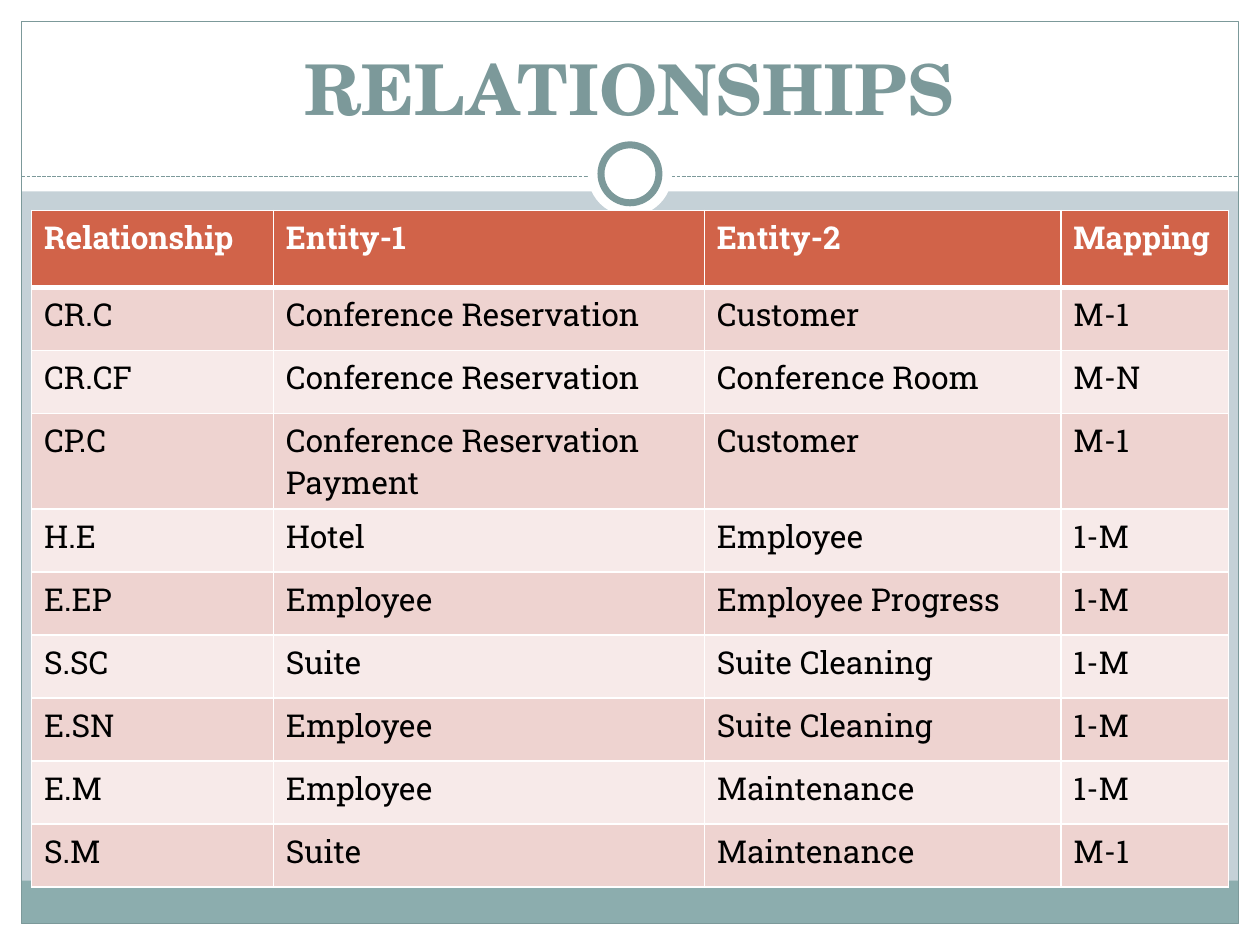
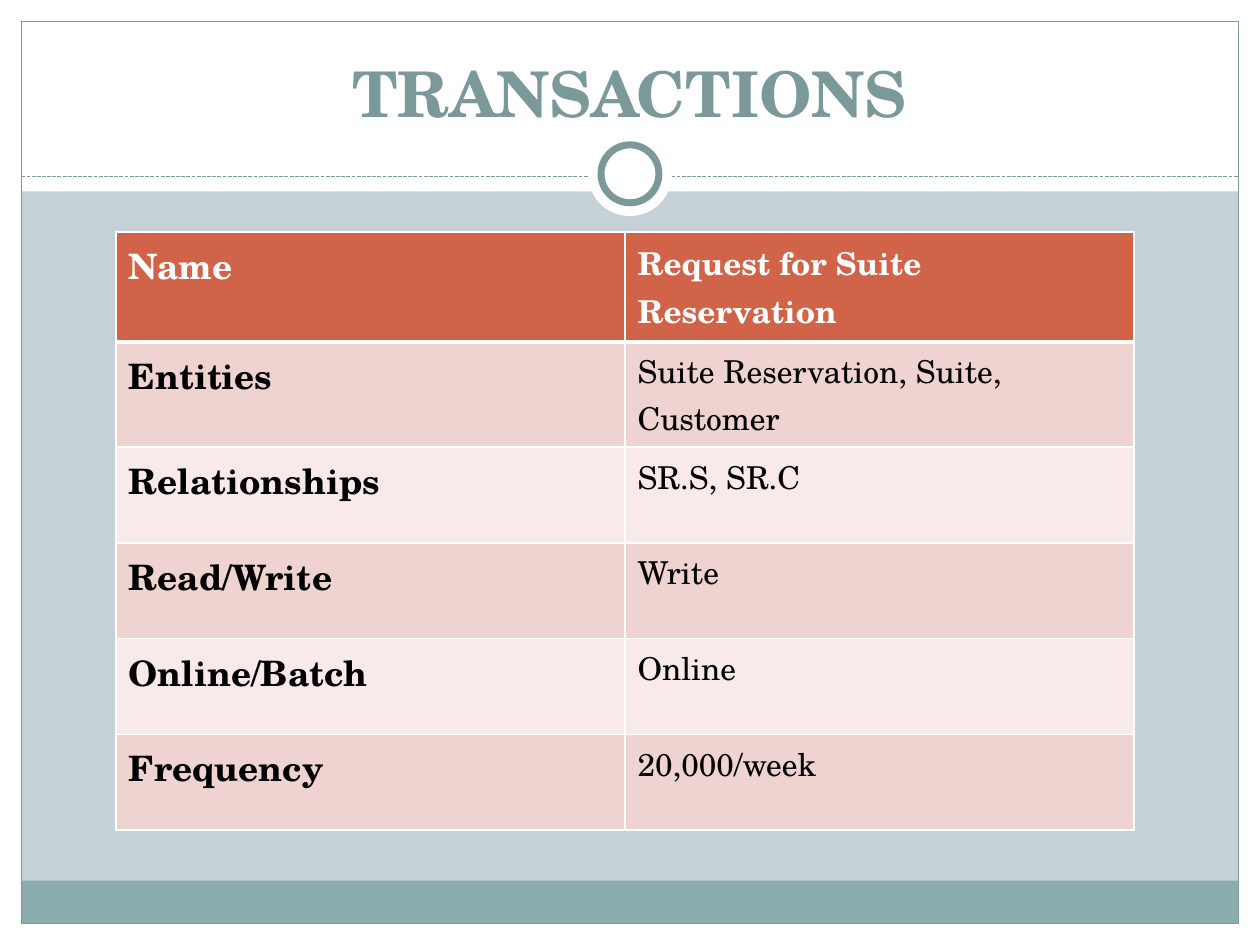
from lxml.etree import SubElement
from pptx import Presentation
from pptx.dml.color import RGBColor
from pptx.enum.dml import MSO_LINE_DASH_STYLE as Dash
from pptx.enum.shapes import MSO_CONNECTOR as Connector, MSO_SHAPE as Shape
from pptx.enum.text import MSO_ANCHOR as Anchor, MSO_AUTO_SIZE as AutoSize, PP_ALIGN as Align
from pptx.oxml.ns import qn
from pptx.util import Inches, Pt

WHITE = RGBColor(0xFF, 0xFF, 0xFF)
BLACK = RGBColor(0, 0, 0)
PALE_BLUE = RGBColor(0xC5, 0xD1, 0xD7)
TEAL = RGBColor(0x7C, 0x99, 0x9A)
FOOTER_TEAL = RGBColor(0x8C, 0xAD, 0xAE)
RUST = RGBColor(0xD1, 0x63, 0x49)
PINK = RGBColor(0xEE, 0xD3, 0xD0)
PALE_PINK = RGBColor(0xF7, 0xEA, 0xE9)
SERIF = "TeX Gyre Schola"
SLAB = "Roboto Slab"
WIDTH, HEIGHT, EDGE = 10, 7.5, 0.17
RULE_TOP = 1.4

RELATIONSHIPS = [
    ("Relationship", "Entity-1", "Entity-2", "Mapping"),
    ("CR.C", "Conference Reservation", "Customer", "M-1"),
    ("CR.CF", "Conference Reservation", "Conference Room", "M-N"),
    ("CP.C", "Conference Reservation Payment", "Customer", "M-1"),
    ("H.E", "Hotel", "Employee", "1-M"),
    ("E.EP", "Employee", "Employee Progress", "1-M"),
    ("S.SC", "Suite", "Suite Cleaning", "1-M"),
    ("E.SN", "Employee", "Suite Cleaning", "1-M"),
    ("E.M", "Employee", "Maintenance", "1-M"),
    ("S.M", "Suite", "Maintenance", "M-1"),
]
TRANSACTION = [
    ("Name", "Request for Suite Reservation"),
    ("Entities", "Suite Reservation, Suite, Customer"),
    ("Relationships", "SR.S, SR.C"),
    ("Read/Write", "Write"),
    ("Online/Batch", "Online"),
    ("Frequency", "20,000/week"),
]


def add_plain_shape(page, kind, left, top, width, height, fill=None, line_width=None):
    """Add a shape with an optional fill and an optional teal outline."""
    shape = page.shapes.add_shape(
        kind, Inches(left), Inches(top), Inches(width), Inches(height))
    shape.shadow.inherit = False
    if fill is None:
        shape.fill.background()
    else:
        shape.fill.solid()
        shape.fill.fore_color.rgb = fill
    if line_width is None:
        shape.line.fill.background()
    else:
        shape.line.color.rgb = TEAL
        shape.line.width = Pt(line_width)


def add_dashed_rule(page):
    """Add the dashed line below the title."""
    rule = page.shapes.add_connector(
        Connector.STRAIGHT, Inches(EDGE), Inches(RULE_TOP),
        Inches(WIDTH - EDGE), Inches(RULE_TOP))
    rule.line.color.rgb = TEAL
    rule.line.width = Pt(0.75)
    rule.line.dash_style = Dash.SQUARE_DOT
    SubElement(rule.element.spPr, qn("a:effectLst"))


def add_frame(page):
    """Draw the background, margins, footer band, outline and title ornament."""
    page.background.fill.solid()
    page.background.fill.fore_color.rgb = PALE_BLUE
    margins = [
        (0, HEIGHT - EDGE, WIDTH, EDGE),
        (0, 0, WIDTH, 1.52),
        (0, 0, EDGE, HEIGHT),
        (WIDTH - EDGE, 0, EDGE, HEIGHT),
    ]
    for margin in margins:
        add_plain_shape(page, Shape.RECTANGLE, *margin, fill=WHITE)
    inner_width = WIDTH - 2 * EDGE
    add_plain_shape(page, Shape.RECTANGLE, EDGE, 6.99, inner_width, 0.34, fill=FOOTER_TEAL)
    add_plain_shape(page, Shape.RECTANGLE, EDGE, EDGE, inner_width, HEIGHT - 2 * EDGE,
                    line_width=0.75)
    add_dashed_rule(page)
    for diameter, line_width in ((0.67, None), (0.46, 4)):
        add_plain_shape(page, Shape.OVAL, (WIDTH - diameter) / 2, 1.38 - diameter / 2,
                        diameter, diameter, fill=WHITE, line_width=line_width)


def set_title(page, text, size):
    """Place and format the title in front of the frame."""
    title = page.shapes.title
    title.element.getparent().append(title.element)
    title.left, title.top = Inches(0.33), Inches(0.25)
    title.width, title.height = Inches(9.33), Inches(0.83)
    frame = title.text_frame
    frame.text = text
    frame.word_wrap = True
    frame.auto_size = AutoSize.NONE
    frame.vertical_anchor = Anchor.BOTTOM
    para = frame.paragraphs[0]
    para.alignment = Align.CENTER
    format_font(para.font, SERIF, size, TEAL, True)


def format_font(font, name, size, color, bold):
    """Set the typeface, size, colour and weight of a font."""
    font.name = name
    font.size = Pt(size)
    font.color.rgb = color
    font.bold = bold


def set_borders(cell, top, bottom):
    """Give a cell white borders, with top and bottom widths in points."""
    properties = cell._tc.get_or_add_tcPr()
    for side, width in (("L", 1), ("R", 1), ("T", top), ("B", bottom)):
        line = SubElement(properties, qn(f"a:ln{side}"), w=str(Pt(width)))
        fill = SubElement(line, qn("a:solidFill"))
        SubElement(fill, qn("a:srgbClr"), val=str(WHITE))


def add_banded_table(page, rows, left, top, widths, heights, font_name,
                     label_size=18, bold_labels=False):
    """Add a table with a rust header row and alternating pink body rows."""
    table = page.shapes.add_table(
        len(rows), len(widths), Inches(left), Inches(top),
        Inches(sum(widths)), Inches(sum(heights))).table
    table.first_row = table.horz_banding = False
    for column, width in zip(table.columns, widths):
        column.width = Inches(width)
    for index, (texts, height) in enumerate(zip(rows, heights)):
        table.rows[index].height = Inches(height)
        header = index == 0
        band = RUST if header else PINK if index % 2 else PALE_PINK
        for position, text in enumerate(texts):
            cell = table.cell(index, position)
            set_borders(cell, 3 if index == 1 else 1, 3 if header else 1)
            cell.fill.solid()
            cell.fill.fore_color.rgb = band
            cell.text = text
            label = position == 0
            format_font(cell.text_frame.paragraphs[0].font, font_name,
                        label_size if label else 18,
                        WHITE if header else BLACK,
                        header or (label and bold_labels))


def add_page(deck, title, title_size):
    """Add a framed slide with its title."""
    page = deck.slides.add_slide(deck.slide_layouts[5])
    add_frame(page)
    set_title(page, title, title_size)
    return page


def main():
    """Build the deck and save it."""
    deck = Presentation()
    deck.slide_width, deck.slide_height = Inches(WIDTH), Inches(HEIGHT)
    page = add_page(deck, "RELATIONSHIPS", 40)
    add_banded_table(page, RELATIONSHIPS, 0.25, 1.67, [1.92, 3.42, 2.83, 1.33],
                     [0.61] + [0.5] * 9, SLAB)
    page = add_page(deck, "TRANSACTIONS", 36)
    add_banded_table(page, TRANSACTION, 0.92, 1.84, [4.04] * 2, [0.76] * 6, SERIF,
                     label_size=20, bold_labels=True)
    deck.save("out.pptx")


if __name__ == "__main__":
    main()
